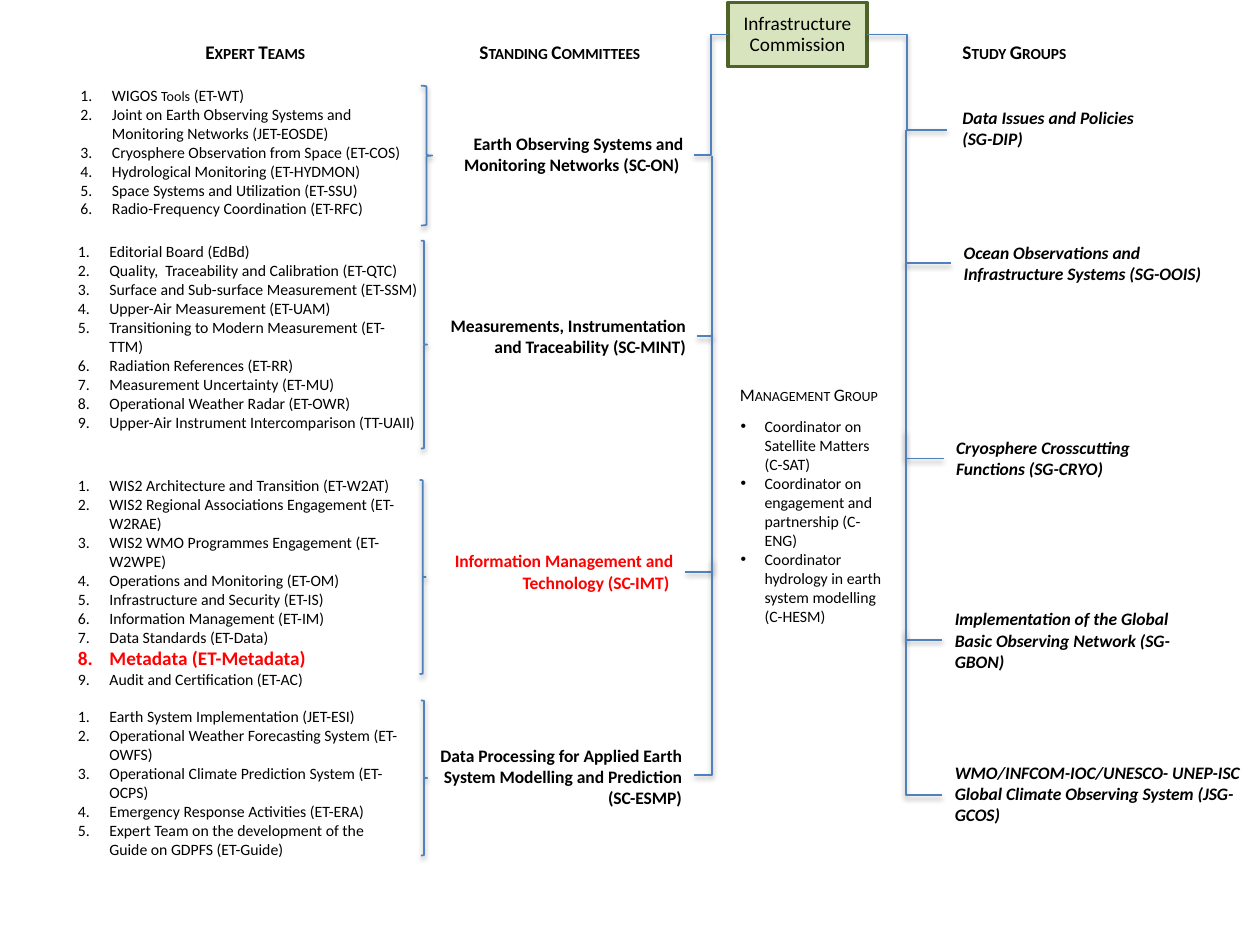
from dataclasses import dataclass

from lxml.etree import SubElement
from pptx import Presentation
from pptx.dml.color import RGBColor
from pptx.enum.shapes import MSO_CONNECTOR, MSO_SHAPE
from pptx.enum.text import MSO_ANCHOR, MSO_AUTO_SIZE, PP_ALIGN
from pptx.oxml.ns import qn
from pptx.util import Inches, Pt


@dataclass(frozen=True)
class Theme:
    """Colours, font and type sizes of the chart."""
    font: str = "Calibri"
    ink: str = "000000"
    accent: str = "FF0000"
    line: str = "4F81BD"
    box_fill: str = "D7E4BD"
    box_line: str = "4F6228"
    heading: int = 11
    label: int = 10
    item: int = 9
    small: int = 8


THEME = Theme()
HIGHLIGHT = {"size": THEME.heading, "color": THEME.accent, "bold": True}
LEFT_TRUNK, RIGHT_TRUNK = 5.65, 7.19

HEADINGS = [
    ("Expert Teams", (0.77, 0.27, 1.75, 0.29), PP_ALIGN.RIGHT),
    ("Standing Committees", (3.43, 0.27, 1.75, 0.29), PP_ALIGN.RIGHT),
    ("Study Groups", (7.54, 0.27, 1.31, 0.29), PP_ALIGN.LEFT),
]
COMMITTEES = [
    ("Earth Observing Systems and Monitoring Networks (SC-ON) ", (3.51, 1.01, 2.01, 0.44), THEME.ink),
    ("Measurements, Instrumentation and Traceability (SC-MINT)", (3.34, 2.45, 2.2, 0.44), THEME.ink),
    ("Information Management and Technology (SC-IMT) ", (3.43, 4.32, 2.01, 0.44), THEME.accent),
    ("Data Processing for Applied Earth System Modelling and Prediction (SC-ESMP)",
     (3.31, 5.86, 2.2, 0.61), THEME.ink),
]
STUDY_GROUPS = [
    ("Data Issues and Policies \n(SG-DIP)", (7.54, 0.8, 2.01, 0.45)),
    ("Ocean Observations and Infrastructure Systems (SG-OOIS)", (7.55, 1.87, 2.14, 0.44)),
    ("Cryosphere Crosscutting Functions (SG-CRYO)", (7.49, 3.42, 2.01, 0.44)),
    ("Implementation of the Global Basic Observing Network (SG-GBON)", (7.48, 4.78, 2.2, 0.61)),
    ("WMO/INFCOM-IOC/UNESCO- UNEP-ISC Global Climate Observing System (JSG-GCOS)",
     (7.48, 6, 2.75, 0.61)),
]
EXPERT_TEAMS = [
    ((0.54, 0.63, 2.79, 1.16), (3.34, 0.68, 0.09, 1.11), [
        [("WIGOS ", {}), ("Tools", {"size": THEME.small}), (" (ET-WT)", {})],
        "Joint on Earth Observing Systems and Monitoring Networks (JET-EOSDE)",
        "Cryosphere Observation from Space (ET-COS)",
        "Hydrological Monitoring (ET-HYDMON)",
        "Space Systems and Utilization (ET-SSU)",
        "Radio-Frequency Coordination (ET-RFC)",
    ]),
    ((0.52, 1.87, 2.9, 1.77), (3.34, 1.91, 0.05, 1.65), [
        "Editorial Board (EdBd)",
        "Quality,  Traceability and Calibration (ET-QTC)",
        "Surface and Sub-surface Measurement (ET-SSM)",
        "Upper-Air Measurement (ET-UAM)",
        "Transitioning to Modern Measurement (ET-TTM)",
        "Radiation References (ET-RR)",
        "Measurement Uncertainty (ET-MU)",
        "Operational Weather Radar (ET-OWR)",
        "Upper-Air Instrument Intercomparison (TT-UAII)",
    ]),
    ((0.52, 3.73, 2.85, 1.79), (3.33, 3.81, 0.05, 1.54), [
        "WIS2 Architecture and Transition (ET-W2AT)",
        "WIS2 Regional Associations Engagement (ET-W2RAE)",
        "WIS2 WMO Programmes Engagement (ET-W2WPE)",
        "Operations and Monitoring (ET-OM)",
        "Infrastructure and Security (ET-IS)",
        "Information Management (ET-IM)",
        "Data Standards (ET-Data)",
        [("Metadata (ET-Metadata)", HIGHLIGHT)],
        "Audit and Certification (ET-AC)",
    ]),
    ((0.52, 5.56, 2.78, 1.31), (3.34, 5.56, 0.05, 1.23), [
        "Earth System Implementation (JET-ESI)",
        "Operational Weather Forecasting System (ET-OWFS)",
        "Operational Climate Prediction System (ET-OCPS)",
        "Emergency Response Activities (ET-ERA)",
        "Expert Team on the development of the Guide on GDPFS (ET-Guide)",
    ]),
]
COORDINATORS = [
    "Coordinator on Satellite Matters \n(C-SAT)",
    "Coordinator on engagement and partnership (C-ENG)",
    "Coordinator hydrology in earth system modelling (C-HESM)",
]
LEFT_BRANCHES = [((5.53, 2.67), 1.24), ((5.44, 4.54), 2.67), ((5.51, 6.15), 4.44)]
RIGHT_BRANCHES = [((7.55, 2.09), 1.03), ((7.49, 3.64), 2.09), ((7.48, 5.08), 3.42), ((7.48, 6.31), 5)]


def add_text(paragraph, text, size=THEME.label, color=THEME.ink, bold=False, italic=False,
             small_caps=False, align=PP_ALIGN.LEFT):
    """Append formatted text to a paragraph, with a line break at each newline."""
    paragraph.alignment = align
    for index, part in enumerate(text.split("\n")):
        if index:
            paragraph.add_line_break()
        run = paragraph.add_run()
        run.text = part
        font = run.font
        font.name, font.size, font.bold, font.italic = THEME.font, Pt(size), bold, italic
        font.color.rgb = RGBColor.from_string(color)
        if small_caps:
            font._element.set("cap", "small")


def add_frame(slide, bounds):
    """Add a wrapping text box that grows with its text and return its frame."""
    frame = slide.shapes.add_textbox(*map(Inches, bounds)).text_frame
    frame.word_wrap = True
    frame.auto_size = MSO_AUTO_SIZE.SHAPE_TO_FIT_TEXT
    return frame


def add_label(slide, text, bounds, **text_format):
    """Add a text box holding one paragraph."""
    add_text(add_frame(slide, bounds).paragraphs[0], text, **text_format)


def add_list(slide, items, bounds, indent, marker, **marker_attributes):
    """Add a text box with a hanging numbered or bulleted list."""
    frame = add_frame(slide, bounds)
    for index, item in enumerate(items):
        paragraph = frame.add_paragraph() if index else frame.paragraphs[0]
        for text, text_format in [(item, {})] if isinstance(item, str) else item:
            add_text(paragraph, text, **{"size": THEME.item, **text_format})
        properties = paragraph._p.get_or_add_pPr()
        properties.set("marL", str(Inches(indent)))
        properties.set("indent", str(-Inches(indent)))
        SubElement(properties, qn("a:buFont"), typeface="Arial" if marker == "a:buChar" else "+mj-lt")
        SubElement(properties, qn(marker), **marker_attributes)


def style_line(shape):
    """Give a brace or connector its blue line and soft shadow."""
    shape.line.color.rgb = RGBColor.from_string(THEME.line)
    shape.line.width = Pt(1)
    effects = SubElement(shape._element.spPr, qn("a:effectLst"))
    shadow = SubElement(effects, qn("a:outerShdw"), blurRad=str(Pt(3.1)), dist=str(Pt(1.6)),
                        dir="5400000", rotWithShape="0")
    color = SubElement(shadow, qn("a:srgbClr"), val=THEME.ink)
    SubElement(color, qn("a:alpha"), val="38000")


def add_brace(slide, bounds):
    """Add a right brace beside a list of expert teams."""
    brace = slide.shapes.add_shape(MSO_SHAPE.RIGHT_BRACE, *map(Inches, bounds))
    brace.fill.background()
    style_line(brace)


def add_elbow(slide, start, end, preset="bentConnector3"):
    """Add an elbow connector between two points."""
    connector = slide.shapes.add_connector(MSO_CONNECTOR.ELBOW, *map(Inches, (*start, *end)))
    connector._element.spPr.find(qn("a:prstGeom")).set("prst", preset)
    style_line(connector)
    return connector


def add_commission(slide):
    """Add the commission box at the top of the chart."""
    box = slide.shapes.add_shape(MSO_SHAPE.RECTANGLE, *map(Inches, (5.78, 0.02, 1.1, 0.51)))
    box.shadow.inherit = False
    box.fill.solid()
    box.fill.fore_color.rgb = RGBColor.from_string(THEME.box_fill)
    box.line.color.rgb = RGBColor.from_string(THEME.box_line)
    box.line.width = Pt(2)
    box.text_frame.vertical_anchor = MSO_ANCHOR.MIDDLE
    paragraph = box.text_frame.paragraphs[0]
    paragraph.line_spacing = Pt(12)
    add_text(paragraph, "Infrastructure Commission", size=THEME.heading, align=PP_ALIGN.CENTER)
    return box


def add_branches(slide, commission):
    """Join committees and study groups to the commission."""
    add_elbow(slide, (5.51, 1.23), (5.78, 0.27)).end_connect(commission, 1)
    add_elbow(slide, (6.88, 0.27), (7.52, 1.03)).begin_connect(commission, 3)
    for trunk, branches in ((LEFT_TRUNK, LEFT_BRANCHES), (RIGHT_TRUNK, RIGHT_BRANCHES)):
        for start, top in branches:
            add_elbow(slide, start, (trunk, top), "bentConnector2")


def main():
    """Build the organisation chart and save it."""
    presentation = Presentation()
    presentation.slide_width, presentation.slide_height = Inches(10), Inches(7.5)
    slide = presentation.slides.add_slide(presentation.slide_layouts[6])
    commission = add_commission(slide)
    for text, bounds, align in HEADINGS:
        add_label(slide, text, bounds, size=THEME.heading, bold=True, small_caps=True, align=align)
    for text, bounds, color in COMMITTEES:
        add_label(slide, text, bounds, color=color, bold=True, align=PP_ALIGN.RIGHT)
    for text, bounds in STUDY_GROUPS:
        add_label(slide, text, bounds, bold=True, italic=True)
    for bounds, brace_bounds, teams in EXPERT_TEAMS:
        add_list(slide, teams, bounds, 0.25, "a:buAutoNum", type="arabicPeriod")
        add_brace(slide, brace_bounds)
    add_branches(slide, commission)
    add_label(slide, "Management Group", (5.74, 3, 1.36, 0.27), small_caps=True, align=PP_ALIGN.CENTER)
    add_list(slide, COORDINATORS, (5.78, 3.26, 1.33, 1.77), 0.19, "a:buChar", char="•")
    presentation.save("out.pptx")


if __name__ == "__main__":
    main()
